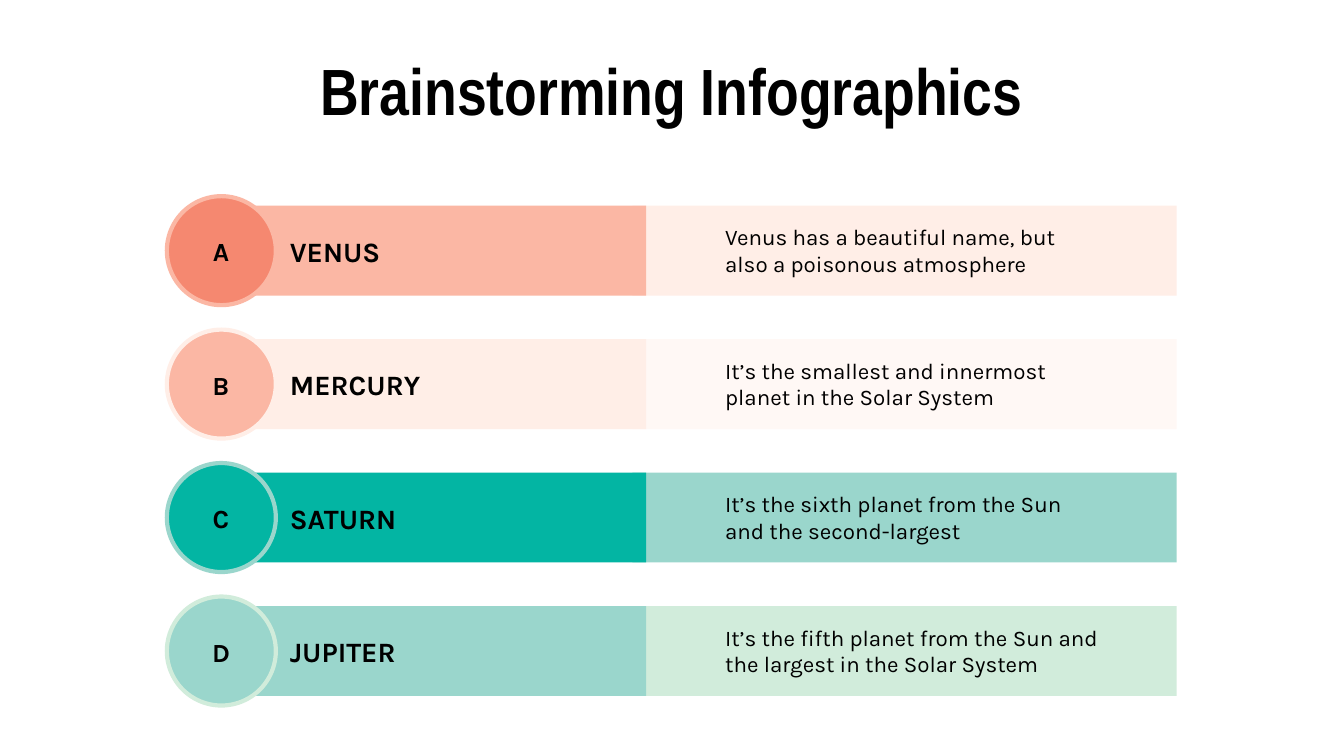
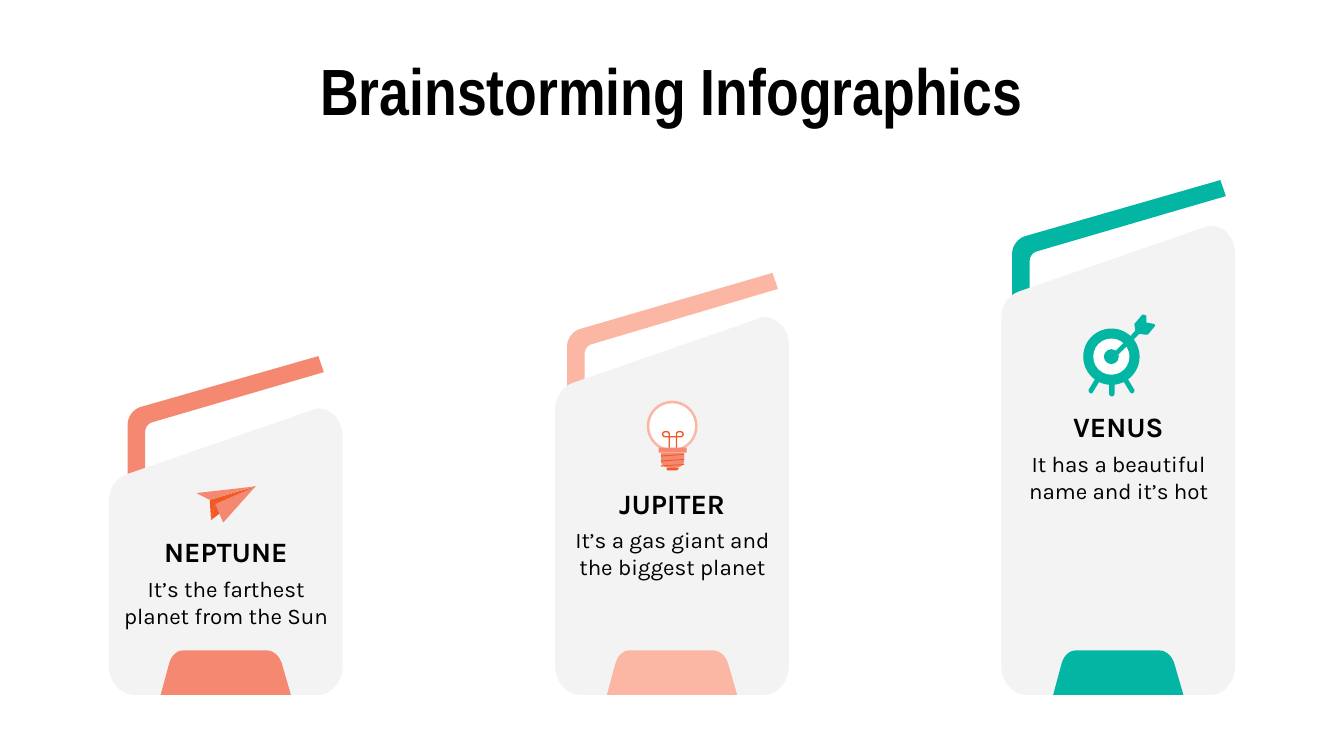
from dataclasses import dataclass
from typing import Callable

from lxml import etree
from pptx import Presentation, util as u
from pptx.dml.color import RGBColor
from pptx.enum import shapes, text
from pptx.oxml import ns

CORAL, PEACH, BLUSH, ORANGE = "F58870", "FBB7A4", "FFEEE7", "F15A24"
TEAL, AQUA, MINT = "03B5A3", "9AD6CC", "D1ECDB"
WHITE, BLACK, GREY = "FFFFFF", "000000", "F3F3F3"
BODY_FONT, TITLE_FONT = "Karla", "Arial Narrow"
TITLE = "Brainstorming Infographics"
LEFT, CENTER = text.PP_ALIGN.LEFT, text.PP_ALIGN.CENTER
RECT, OVAL = shapes.MSO_SHAPE.RECTANGLE, shapes.MSO_SHAPE.OVAL
ROUNDED = shapes.MSO_SHAPE.ROUNDED_RECTANGLE
CURVE_STEPS = 8
ROW_TOP, ROW_PITCH, ROW_HEIGHT = 110.2, 71.5, 48.2
CARD_LEFT, CARD_PITCH, CARD_WIDTH = 58.3, 239.05, 125.3
CARD_TOP, CARD_RISE, CARD_BOTTOM = 218.9, 49, 372.3


@dataclass(frozen=True)
class Row:
    letter: str
    planet: str
    fact: str
    badge: str
    rim: str
    name_fill: str
    fact_fill: str
    fact_alpha: int = 100


@dataclass(frozen=True)
class Arm:
    left: float
    top: float
    width: float
    height: float
    shoulder: float


@dataclass(frozen=True)
class Card:
    planet: str
    fact: str
    accent: str
    heading_top: float
    arm: Arm
    icon: Callable
    icon_left: float
    icon_top: float


def colour(hex_code: str) -> RGBColor:
    return RGBColor.from_string(hex_code)


def paint(shape, fill: str | None, line: str | None = None, line_width: float = 0, alpha: int = 100) -> None:
    shape.shadow.inherit = False
    if fill:
        shape.fill.solid()
        shape.fill.fore_color.rgb = colour(fill)
        if alpha < 100:
            tint = shape.fill._xPr.find(".//" + ns.qn("a:srgbClr"))
            etree.SubElement(tint, ns.qn("a:alpha"), val=str(alpha * 1000))
    else:
        shape.fill.background()
    if line:
        shape.line.color.rgb = colour(line)
        shape.line.width = u.Pt(line_width)
    else:
        shape.line.fill.background()


def add_preset(slide, kind, left: float, top: float, width: float, height: float, fill: str, **style):
    shape = slide.shapes.add_shape(kind, u.Pt(left), u.Pt(top), u.Pt(width), u.Pt(height))
    paint(shape, fill, **style)
    return shape


def add_disc(slide, x: float, y: float, radius: float, fill: str, **style) -> None:
    add_preset(slide, OVAL, x - radius, y - radius, 2 * radius, 2 * radius, fill, **style)


def flatten(steps: list[tuple]) -> list[tuple]:
    points = [steps[0]]
    for step in steps[1:]:
        if len(step) == 2:
            points.append(step)
            continue
        anchors = [points[-1], step[:2], step[2:4], step[4:]]
        for i in range(1, CURVE_STEPS + 1):
            t = i / CURVE_STEPS
            weights = ((1 - t) ** 3, 3 * t * (1 - t) ** 2, 3 * t * t * (1 - t), t ** 3)
            points.append(tuple(sum(w * a[axis] for w, a in zip(weights, anchors)) for axis in (0, 1)))
    return points


def add_outline(slide, left: float, top: float, steps: list[tuple], fill: str | None, close: bool = True, **style) -> None:
    points = [(u.Pt(left + x), u.Pt(top + y)) for x, y in flatten(steps)]
    builder = slide.shapes.build_freeform(*points[0], scale=1.0)
    builder.add_line_segments(points[1:], close=close)
    paint(builder.convert_to_shape(), fill, **style)


def write(shape, words: str, size: float, font: str = BODY_FONT, bold: bool = False, align=LEFT) -> None:
    frame = shape.text_frame
    frame.word_wrap = True
    frame.auto_size = text.MSO_AUTO_SIZE.NONE
    frame.vertical_anchor = text.MSO_ANCHOR.MIDDLE
    frame.margin_left = frame.margin_right = frame.margin_top = frame.margin_bottom = u.Pt(7.2)
    paragraph = frame.paragraphs[0]
    paragraph.alignment = align
    run = paragraph.add_run()
    run.text = words
    run.font.name, run.font.size, run.font.bold = font, u.Pt(size), bold
    run.font.color.rgb = colour(BLACK)


def add_label(slide, left: float, top: float, width: float, height: float, words: str, size: float, **style) -> None:
    box = slide.shapes.add_textbox(u.Pt(left), u.Pt(top), u.Pt(width), u.Pt(height))
    write(box, words, size, **style)


def add_titled_slide(deck):
    slide = deck.slides.add_slide(deck.slide_layouts[5])
    slide.background.fill.solid()
    slide.background.fill.fore_color.rgb = colour(WHITE)
    title = slide.shapes.title
    title.left, title.top, title.width, title.height = u.Pt(24.5), u.Pt(26.6), u.Pt(671), u.Pt(42.5)
    write(title, TITLE, 35, font=TITLE_FONT, bold=True, align=CENTER)
    return slide


def draw_row(slide, row: Row, top: float) -> None:
    add_preset(slide, RECT, 338.8, top, 291.6, ROW_HEIGHT, row.fact_fill, alpha=row.fact_alpha)
    add_preset(slide, RECT, 118, top, 228.2, ROW_HEIGHT, row.name_fill)
    add_disc(slide, 118.6, top + ROW_HEIGHT / 2, 29.2, row.badge, line=row.rim, line_width=2.25)
    add_label(slide, 95, top + 3.6, 46.8, 41.8, row.letter, 14, bold=True, align=CENTER)
    add_label(slide, 381.4, top + 7.6, 215.3, 32.4, row.fact, 12)
    add_label(slide, 148.2, top + 9.6, 106.6, 29.5, row.planet, 15, bold=True)


def draw_plane(slide, left: float, top: float, accent: str) -> None:
    nose, fold, tail, wing = (31.7, 0), (10.1, 9.4), (7.9, 18), (7.2, 7.2)
    for facet, fill in (
        ([nose, fold, tail], ORANGE),
        ([nose, fold, (14.4, 19.4)], accent),
        ([nose, wing, tail, fold], ORANGE),
        ([nose, (0, 3.6), wing], accent),
    ):
        add_outline(slide, left, top, facet, fill)


def draw_bulb(slide, left: float, top: float, accent: str) -> None:
    for radius, fill in ((13.6, accent), (12.2, WHITE)):
        add_disc(slide, left + 14.5, top + 13.7, radius, fill)
    add_preset(slide, RECT, left + 7.2, top + 25.2, 15.1, 2.7, CORAL)
    screw = [(8.6, 28.1), (20.9, 28.1), (20.9, 32.4), (20.9, 34.6, 18.7, 36, 16.6, 36),
             (13, 36), (10.8, 36, 8.6, 34.6, 8.6, 32.4)]
    tip = [(11.5, 36), (11.5, 36.7, 11.5, 37.4, 12.2, 37.4),
           (16.6, 37.4), (17.3, 37.4, 18, 36.7, 18, 36)]
    add_outline(slide, left, top, screw, CORAL)
    add_outline(slide, left, top, tip, ORANGE)
    for turn in range(3):
        y = 28.6 + 2.7 * turn
        add_outline(slide, left, top, [(20.9, y), (8.6, y + 0.8), (8.6, y + 1.4), (20.9, y + 0.4)], ORANGE)
    filament = [(13, 25.2), (13, 18), (13, 17.3, 12.2, 16.6, 11.5, 16.6),
                (10.1, 16.6, 9.4, 17.3, 9.4, 18), (9.4, 18.7, 10.1, 19.4, 10.8, 19.4), (14.9, 19.4)]
    mirrored = [tuple(29.8 - v if i % 2 == 0 else v for i, v in enumerate(step)) for step in filament]
    for half in (filament, mirrored):
        add_outline(slide, left, top, half, None, close=False, line=ORANGE, line_width=0.75)


def draw_target(slide, left: float, top: float, accent: str) -> None:
    post = add_preset(slide, ROUNDED, left + 14.6, top + 20.9, 2.9, 23, accent)
    post.adjustments[0] = 0.5
    legs = [(15.8, 20.2), (3.6, 40.3), (3.2, 41.2, 4.7, 43.2, 5.8, 41.8), (15.8, 25.2),
            (25.9, 41.8), (27, 43.2, 28.5, 41.2, 28.1, 40.3)]
    flight = [(33.1, 0), (32.4, 0), (28.8, 4.3), (28.1, 5), (28.8, 10.1), (33.8, 10.8), (35.3, 10.8),
              (38.9, 6.5), (39.6, 5.8, 38.9, 5, 38.2, 5), (34.6, 4.3), (34.6, 0.7)]
    shaft = [(30.2, 7.9), (29.5, 7.9), (16.6, 20.9), (15.8, 21.6, 15.8, 22.3, 16.6, 23), (18, 23),
             (31, 10.1), (31.7, 8.6, 31, 7.9, 30.2, 7.9)]
    add_outline(slide, left, top, legs, accent)
    for radius, fill in ((15.1, accent), (9.7, WHITE), (4, accent)):
        add_disc(slide, left + 15.8, top + 22.6, radius, fill)
    for part in (flight, shaft):
        add_outline(slide, left, top, part, accent)


def draw_arm(slide, arm: Arm, fill: str) -> None:
    w, h, s = arm.width, arm.height, arm.shoulder
    steps = [(9.4, h), (0, h), (0, s + 9.4), (0, s + 5, 2.9, s + 1.4, 6.5, s), (w - 2.9, 0), (w, 8.6),
             (13.7, s + 7.9), (10.8, s + 8.6, 9.4, s + 10.8, 9.4, s + 13.7)]
    add_outline(slide, arm.left, arm.top, steps, fill)


def draw_card(slide, card: Card, left: float, top: float) -> None:
    w, h = CARD_WIDTH, CARD_BOTTOM - top
    panel = [(112.3, 0), (111.6, 0, 110.2, 0, 109.4, 0.7), (9.4, 35.3), (3.6, 37.4, 0, 43.2, 0, 50.4),
             (0, h - 15.8), (0, h - 7.2, 6.1, h, 13.7, h), (112.3, h), (119.5, h, w, h - 7.2, w, h - 15.8),
             (w, 15.1), (w, 6.5, 119.5, 0, 112.3, 0)]
    foot = [(64.8, 6.5), (69.8, 23.8), (0, 23.8), (4.7, 6.5), (5.8, 2.9, 8.6, 0, 12.2, 0),
            (56.9, 0), (60.5, 0, 63.4, 2.9, 64.8, 6.5)]
    draw_arm(slide, card.arm, card.accent)
    add_outline(slide, left, top, panel, GREY)
    add_outline(slide, left + 27.8, CARD_BOTTOM - 23.8, foot, card.accent)
    card.icon(slide, card.icon_left, card.icon_top, card.accent)
    add_label(slide, left - 3, card.heading_top + 19.2, 131.8, 41.8, card.fact, 12, align=CENTER)
    add_label(slide, left + 2.2, card.heading_top, 121, 26.6, card.planet, 15, bold=True, align=CENTER)


ROWS = [
    Row("A", "VENUS", "Venus has a beautiful name, but also a poisonous atmosphere", CORAL, PEACH, PEACH, BLUSH),
    Row("B", "MERCURY", "It’s the smallest and innermost planet in the Solar System", PEACH, BLUSH, BLUSH, BLUSH, 41),
    Row("C", "SATURN", "It’s the sixth planet from the Sun and the second-largest", TEAL, AQUA, TEAL, AQUA),
    Row("D", "JUPITER", "It’s the fifth planet from the Sun and the largest in the Solar System", AQUA, MINT, AQUA, MINT),
]
CARDS = [
    Card("NEPTUNE", "It’s the farthest planet from the Sun", CORAL, 282.2,
         Arm(68.4, 190.8, 105.1, 67, 27.4), draw_plane, 105.2, 260.6),
    Card("JUPITER", "It’s a gas giant and the biggest planet", PEACH, 256.3,
         Arm(303.8, 146.2, 113, 62.6, 30.2), draw_bulb, 345.6, 214.6),
    Card("VENUS", "It has a beautiful name and it’s hot", TEAL, 215.3,
         Arm(542.2, 96.5, 114.5, 62.6, 30.2), draw_target, 579.6, 168.5),
]


def main() -> None:
    deck = Presentation()
    deck.slide_width, deck.slide_height = u.Pt(720), u.Pt(405)
    planet_rows = add_titled_slide(deck)
    for i, row in enumerate(ROWS):
        draw_row(planet_rows, row, ROW_TOP + ROW_PITCH * i)
    planet_cards = add_titled_slide(deck)
    for i, card in enumerate(CARDS):
        draw_card(planet_cards, card, CARD_LEFT + CARD_PITCH * i, CARD_TOP - CARD_RISE * i)
    deck.save("out.pptx")


if __name__ == "__main__":
    main()
